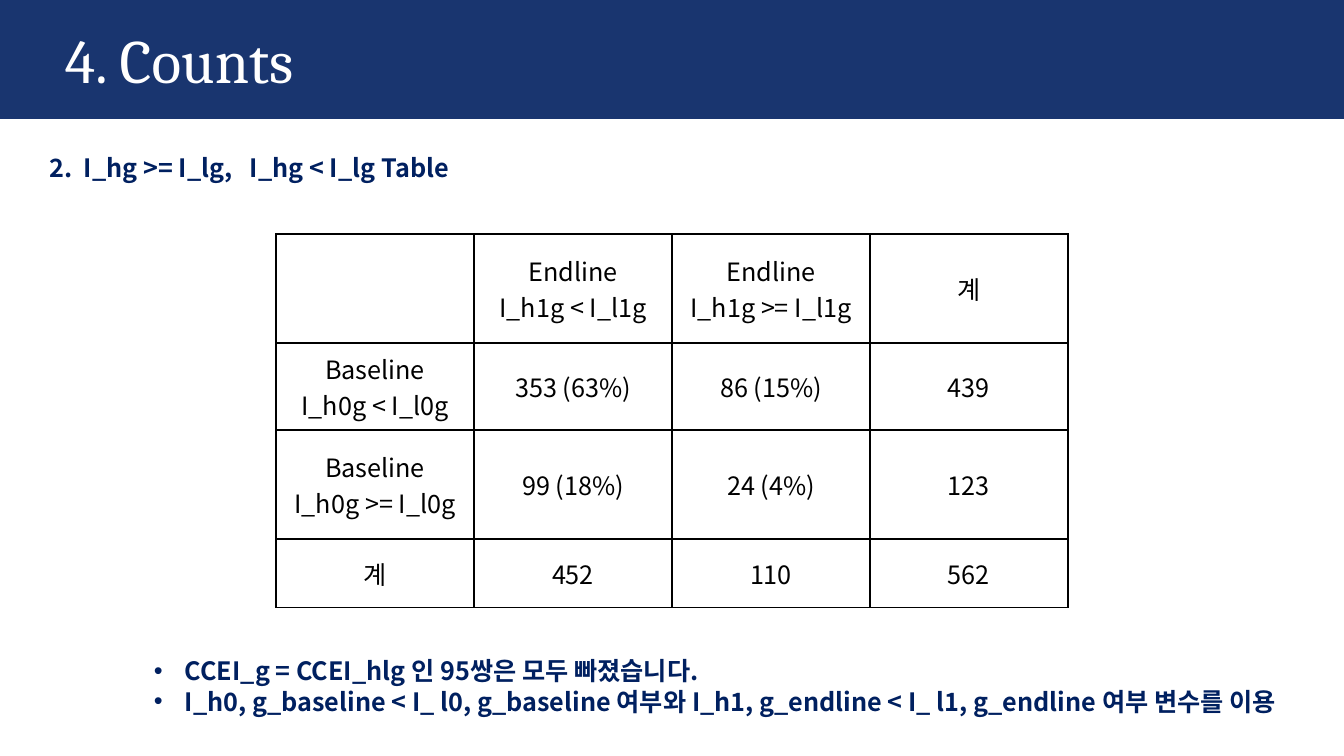
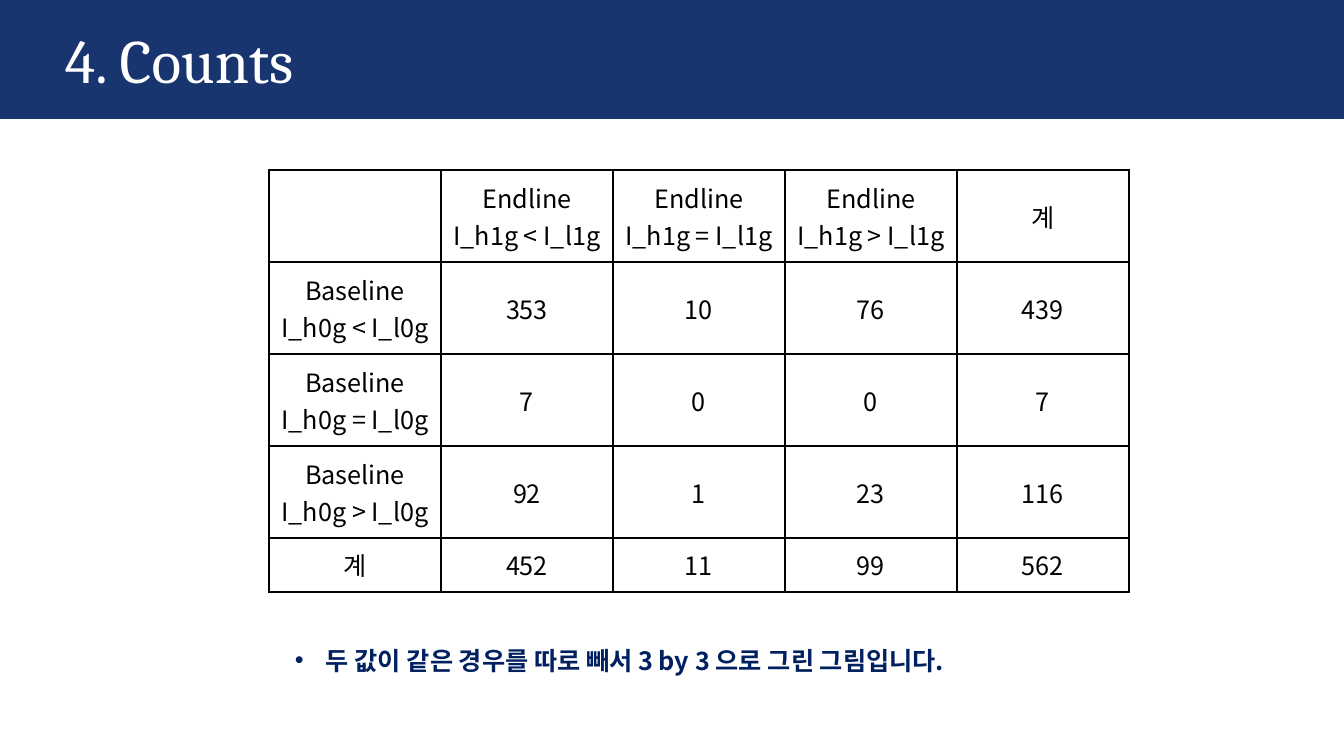
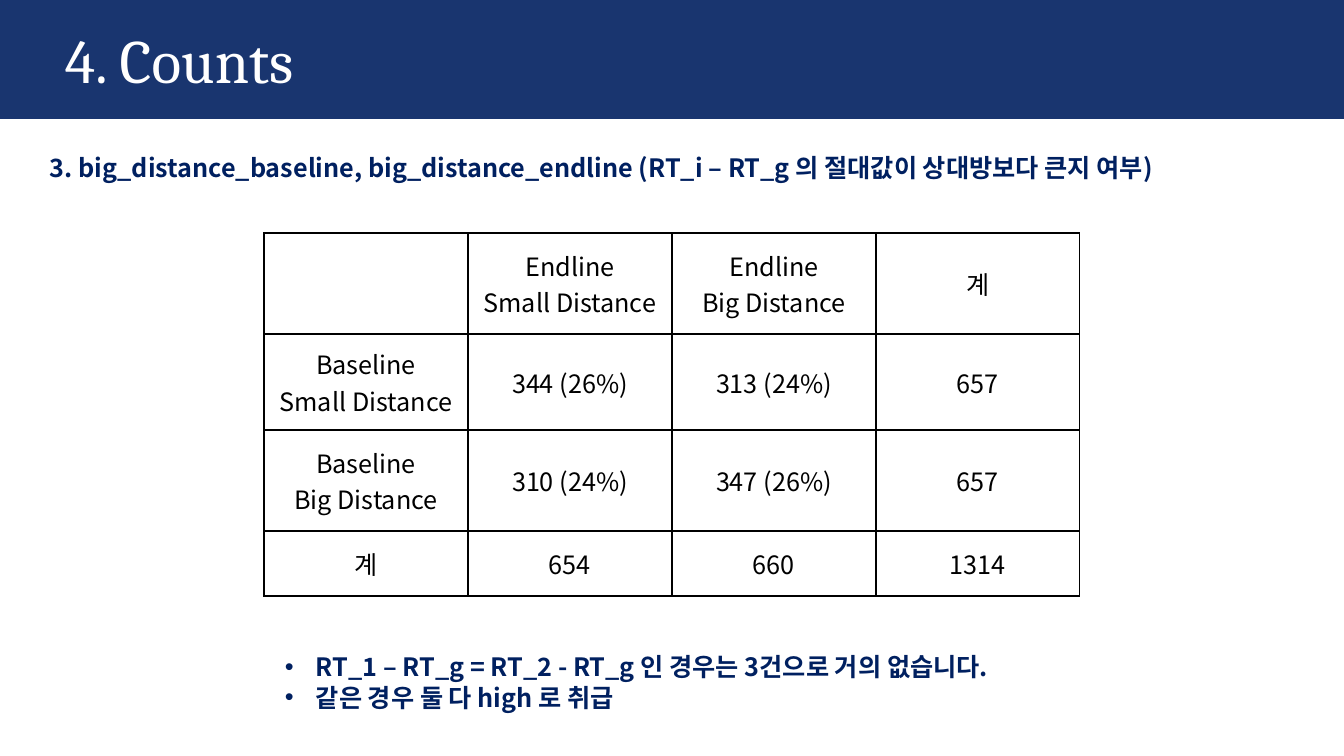
import pptx
import pptx.dml.color
import pptx.enum.shapes
import pptx.enum.text
import pptx.oxml.ns
import pptx.util
from lxml import etree

SLIDE_W, SLIDE_H = 1344, 756
PX = 12192000 / SLIDE_W

THEME = {
    "navy": "002060", "white": "FFFFFF", "black": "000000",
    "band_alpha": 90, "border_pt": 1, "note_line_pt": 21.5, "note_indent": 31,
    "title": {"size": 44, "name": "Cambria", "color": "FFFFFF", "bold": False},
    "note": {"size": 18, "name": "Noto Sans CJK KR", "color": "002060", "bold": True},
    "cell": {"size": 18, "name": "Noto Sans CJK KR", "color": "000000", "bold": False},
}
TITLE = "4. Counts"
BAND = (0, 0, SLIDE_W, 119)
TITLE_BOX = (55, 17, 1246, 85)

SLIDES = [
    {
        "heading": ("2.\tI_hg >= I_lg,\tI_hg < I_lg Table", (40, 148, 468, 40), (34, 200)),
        "table": {
            "at": (276, 234), "col": 198, "rows": (109, 87, 109, 69),
            "cells": [
                ("", "Endline\nI_h1g < I_l1g", "Endline\nI_h1g >= I_l1g", "계"),
                ("Baseline\nI_h0g < I_l0g", "353 (63%)", "86 (15%)", "439"),
                ("Baseline\nI_h0g >= I_l0g", "99 (18%)", "24 (4%)", "123"),
                ("계", "452", "110", "562"),
            ],
        },
        "notes": ((144, 651, 1186, 72), [
            "CCEI_g = CCEI_hlg 인 95쌍은 모두 빠졌습니다.",
            "I_h0, g_baseline < I_ l0, g_baseline 여부와 "
            "I_h1, g_endline < I_ l1, g_endline 여부 변수를 이용",
        ]),
    },
    {
        "table": {
            "at": (269, 170), "col": 172, "rows": (92, 92, 92, 92, 54),
            "cells": [
                ("", "Endline\nI_h1g < I_l1g", "Endline\nI_h1g = I_l1g",
                 "Endline\nI_h1g > I_l1g", "계"),
                ("Baseline\nI_h0g < I_l0g", "353", "10", "76", "439"),
                ("Baseline\nI_h0g = I_l0g", "7", "0", "0", "7"),
                ("Baseline\nI_h0g > I_l0g", "92", "1", "23", "116"),
                ("계", "452", "11", "99", "562"),
            ],
        },
        "notes": ((285, 640, 828, 41), [
            "두 값이 같은 경우를 따로 빼서 3 by 3 으로 그린 그림입니다.",
        ]),
    },
    {
        "heading": ("3. big_distance_baseline, big_distance_endline "
                    "(RT_i – RT_g 의 절대값이 상대방보다 큰지 여부)", (40, 148, 1230, 40), ()),
        "table": {
            "at": (264, 233), "col": 204, "rows": (101, 96, 101, 65),
            "cells": [
                ("", "Endline\nSmall Distance", "Endline\nBig Distance", "계"),
                ("Baseline\nSmall Distance", "344 (26%)", "313 (24%)", "657"),
                ("Baseline\nBig Distance", "310 (24%)", "347 (26%)", "657"),
                ("계", "654", "660", "1314"),
            ],
        },
        "notes": ((275, 647, 846, 72), [
            "RT_1 – RT_g = RT_2 - RT_g 인 경우는 3건으로 거의 없습니다.",
            "같은 경우 둘 다 high 로 취급",
        ]),
    },
]


def emu(*lengths):
    return [pptx.util.Emu(round(n * PX)) for n in lengths]


def rgb(code):
    return pptx.dml.color.RGBColor.from_string(code)


def child(parent, tag, **attrs):
    """Append an a: element with the given attributes."""
    el = etree.SubElement(parent, pptx.oxml.ns.qn("a:" + tag))
    for key, value in attrs.items():
        el.set(key, str(value))
    return el


def write(p, text, style):
    """Put text in a paragraph; a newline becomes a line break."""
    p.text = text
    for r in p.runs:
        formats = {"name": style["name"], "bold": style["bold"],
                   "size": pptx.util.Pt(style["size"])}
        for key, value in formats.items():
            setattr(r.font, key, value)
        r.font.color.rgb = rgb(style["color"])
        child(r.font._element, "ea", typeface=style["name"])


def add_text(s, box, lines, style, bullets=False, tabs=(), line_pt=None):
    tf = s.shapes.add_textbox(*emu(*box)).text_frame
    tf.word_wrap = True
    tf.auto_size = pptx.enum.text.MSO_AUTO_SIZE.SHAPE_TO_FIT_TEXT
    for i, line in enumerate(lines):
        p = tf.add_paragraph() if i else tf.paragraphs[0]
        write(p, line, style)
        if line_pt:
            p.line_spacing = pptx.util.Pt(line_pt)
        pPr = p._p.get_or_add_pPr()
        if bullets:
            indent = emu(THEME["note_indent"])[0]
            pPr.set("marL", str(indent))
            pPr.set("indent", str(-indent))
            child(pPr, "buFont", typeface="Arial")
            child(pPr, "buChar", char="•")
        if tabs:
            stops = child(pPr, "tabLst")
            for pos in emu(*tabs):
                child(stops, "tab", pos=pos, algn="l")


def add_header(s):
    """Draw the navy band and the title that every slide shares."""
    band = s.shapes.add_shape(pptx.enum.shapes.MSO_SHAPE.RECTANGLE, *emu(*BAND))
    band.shadow.inherit = False
    band.line.fill.background()
    band.fill.solid()
    band.fill.fore_color.rgb = rgb(THEME["navy"])
    color = band._element.spPr.find(".//" + pptx.oxml.ns.qn("a:srgbClr"))
    child(color, "alpha", val=THEME["band_alpha"] * 1000)
    add_text(s, TITLE_BOX, [TITLE], THEME["title"])


def add_borders(cell):
    tcPr = cell._tc.get_or_add_tcPr()
    for side in ("lnL", "lnR", "lnT", "lnB"):
        ln = child(tcPr, side, w=pptx.util.Pt(THEME["border_pt"]))
        child(child(ln, "solidFill"), "srgbClr", val=THEME["black"])


def add_count_table(s, data):
    heights, rows = data["rows"], data["cells"]
    n_cols = len(rows[0])
    box = emu(*data["at"], data["col"] * n_cols, sum(heights))
    table = s.shapes.add_table(len(rows), n_cols, *box).table
    table.first_row = table.horz_banding = False
    for column in table.columns:
        column.width = emu(data["col"])[0]
    for row, height, texts in zip(table.rows, heights, rows):
        row.height = emu(height)[0]
        for cell, text in zip(row.cells, texts):
            add_borders(cell)
            cell.fill.background()
            cell.vertical_anchor = pptx.enum.text.MSO_ANCHOR.MIDDLE
            p = cell.text_frame.paragraphs[0]
            p.alignment = pptx.enum.text.PP_ALIGN.CENTER
            if text:
                write(p, text, THEME["cell"])


def main():
    prs = pptx.Presentation()
    prs.slide_width, prs.slide_height = emu(SLIDE_W, SLIDE_H)
    line_pt = THEME["note_line_pt"]
    for content in SLIDES:
        s = prs.slides.add_slide(prs.slide_layouts[6])
        add_header(s)
        add_count_table(s, content["table"])
        box, lines = content["notes"]
        add_text(s, box, lines, THEME["note"], bullets=True, line_pt=line_pt)
        if "heading" in content:
            text, box, tabs = content["heading"]
            add_text(s, box, [text], THEME["note"], tabs=tabs, line_pt=line_pt)
    prs.save("out.pptx")


if __name__ == "__main__":
    main()
